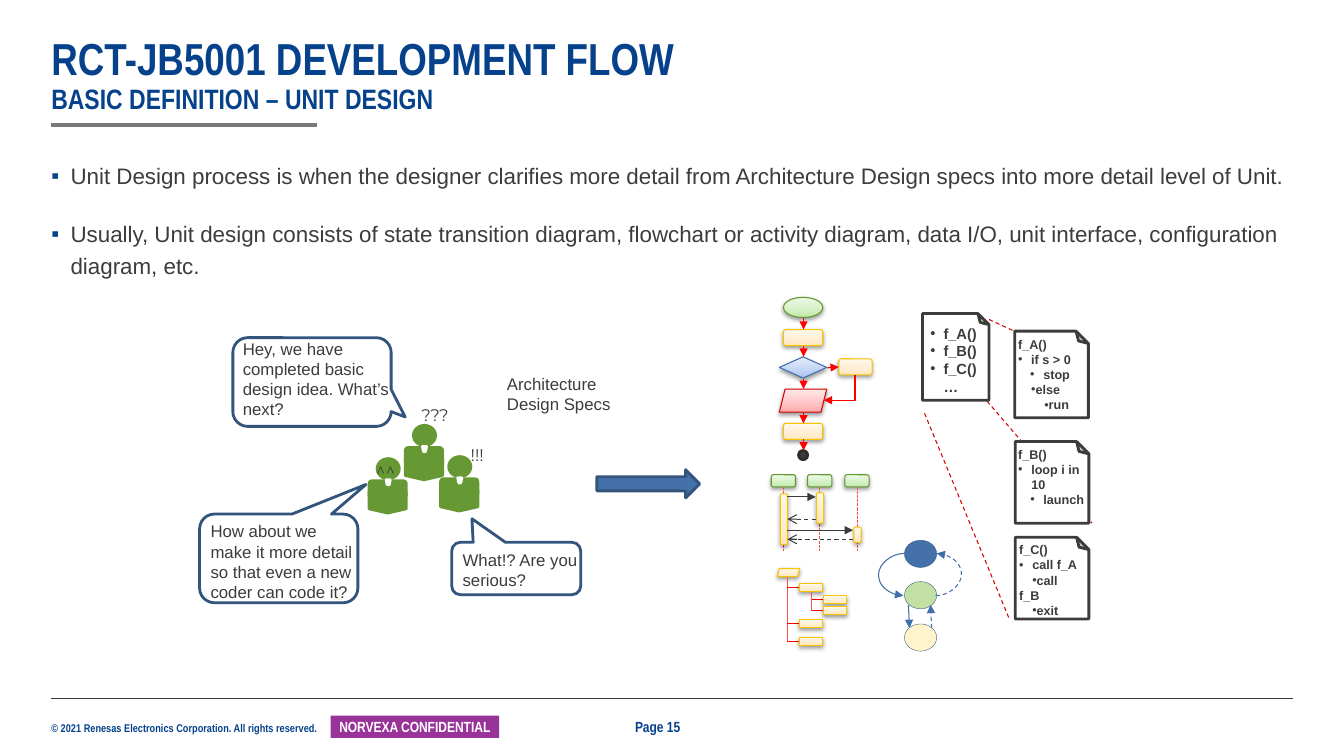
from dataclasses import dataclass
from typing import NamedTuple

from lxml.etree import SubElement
from pptx import Presentation
from pptx.dml.color import RGBColor
from pptx.enum.dml import MSO_LINE
from pptx.enum.shapes import MSO_CONNECTOR, MSO_SHAPE as S
from pptx.enum.text import MSO_ANCHOR, MSO_AUTO_SIZE, PP_ALIGN
from pptx.oxml.ns import qn
from pptx.util import Cm, Length, Pt


@dataclass(frozen=True)
class Theme:
    heading: str = "Arial Narrow"
    body: str = "Arial"
    accent: str = "Montserrat"
    navy: str = "06418C"
    ink: str = "3C3C3B"
    white: str = "FFFFFF"
    purple: str = "993399"
    grey: str = "797979"
    green: str = "669933"
    blue: str = "4471A9"
    outline: str = "32547D"
    curve: str = "406EA8"
    red: str = "FF0000"
    coral: str = "FF4E4E"
    crimson: str = "D20000"
    title: float = 32
    subtitle: float = 20
    text: float = 16
    label: float = 12
    small: float = 10.5
    code: float = 9
    legal: float = 8


T = Theme()


class Tint(NamedTuple):
    stops: tuple[str, str, str]
    line: str


AMBER = Tint(("FFE6BD", "FFEDD1", "FFF8EE"), "F9C400")
LIME = Tint(("C0E9A9", "D3EFC4", "EEFAE8"), "64982F")
SKY = Tint(("A7C0F3", "C2D3F5", "E7EEFC"), "406EA8")
ROSE = Tint(("FFAAAA", "FFC3C3", "FFE8E8"), "D20000")


class Box(NamedTuple):
    """Left, top, width and height in inches."""
    x: float
    y: float
    w: float
    h: float


class Para(NamedTuple):
    text: str
    margin: float = 0
    indent: float = 0
    bullet: str = ""
    level: int = 0


class Callout(NamedTuple):
    box: Box
    tip: tuple[float, float]
    text_box: Box
    text: str


class Note(NamedTuple):
    box: Box
    text_box: Box
    size: float
    wrap: bool
    paras: list[Para]


def inch(value: float) -> Length:
    return Cm(value * 2.54)


def rgb(color: str) -> RGBColor:
    return RGBColor.from_string(color)


def add_shape(slide, kind, box: Box, fill: str | None, line: str | None, width: float = 2):
    sp = slide.shapes.add_shape(kind, *map(inch, box))
    sp.shadow.inherit = False
    if fill:
        sp.fill.solid()
        sp.fill.fore_color.rgb = rgb(fill)
    else:
        sp.fill.background()
    if line:
        sp.line.color.rgb = rgb(line)
        sp.line.width = Pt(width)
    else:
        sp.line.fill.background()
    return sp


def add_tinted(slide, kind, box: Box, tint: Tint) -> None:
    """Add a shape with a three-stop gradient and a soft shadow."""
    sp = add_shape(slide, kind, box, None, tint.line, 0.75)
    sp.fill.gradient()
    sp.fill.gradient_angle = 90
    stops = sp._element.spPr.find(".//" + qn("a:gsLst"))
    for old in list(stops):
        stops.remove(old)
    for pos, color in zip((0, 35, 100), tint.stops):
        stop = SubElement(stops, qn("a:gs"), pos=str(pos * 1000))
        SubElement(stop, qn("a:srgbClr"), val=color)
    effects = sp._element.spPr.find(qn("a:effectLst"))
    shadow = SubElement(effects, qn("a:outerShdw"), blurRad=str(Pt(3.1)), dist=str(Pt(1.6)),
                        dir="5400000", rotWithShape="0")
    SubElement(SubElement(shadow, qn("a:srgbClr"), val="000000"), qn("a:alpha"), val="38000")


def add_line(slide, x1: float, y1: float, x2: float, y2: float, color: str, width: float = 0.75,
             dash=None, tail: str = "", kind=MSO_CONNECTOR.STRAIGHT):
    cx = slide.shapes.add_connector(kind, *map(inch, (x1, y1, x2, y2)))
    cx.line.color.rgb = rgb(color)
    cx.line.width = Pt(width)
    if dash:
        cx.line.dash_style = dash
    if tail:
        SubElement(cx.line._get_or_add_ln(), qn("a:tailEnd"), type=tail)
    SubElement(cx._element.spPr, qn("a:effectLst"))
    return cx


def style_runs(p, font: str, size: float, color: str, bold: bool) -> None:
    for r in p.runs:
        r.font.name, r.font.size, r.font.bold = font, Pt(size), bold
        r.font.color.rgb = rgb(color)


def add_text(slide, box: Box, paras: list[Para], size: float, font: str = T.body, color: str = T.ink,
             bold: bool = False, wrap: bool = True, inset: bool = True, bullet_color: str = ""):
    tf = slide.shapes.add_textbox(*map(inch, box)).text_frame
    tf.word_wrap = wrap
    tf.auto_size = MSO_AUTO_SIZE.SHAPE_TO_FIT_TEXT
    if not inset:
        tf.margin_left = tf.margin_right = tf.margin_top = tf.margin_bottom = 0
    for i, para in enumerate(paras):
        p = tf.add_paragraph() if i else tf.paragraphs[0]
        p.text, p.level = para.text, para.level
        pPr = p._p.get_or_add_pPr()
        pPr.set("marL", str(inch(para.margin)))
        pPr.set("indent", str(inch(para.indent)))
        if para.bullet:
            if bullet_color:
                SubElement(SubElement(pPr, qn("a:buClr")), qn("a:srgbClr"), val=bullet_color)
            SubElement(pPr, qn("a:buFont"), typeface=T.body)
            SubElement(pPr, qn("a:buChar"), char=para.bullet)
        style_runs(p, font, size, color, bold)
    return tf


def add_frame(slide) -> None:
    """Add the title, the body text and the footer."""
    add_text(slide, Box(0.51, 7.16, 2.73, 0.13),
             [Para("© 2021 Renesas Electronics Corporation. All rights reserved.")],
             T.legal, T.heading, T.navy, True, wrap=False, inset=False)
    add_line(slide, 0.51, 6.93, 12.82, 6.93, T.ink, 0.5)
    tf = add_shape(slide, S.RECTANGLE, Box(3.28, 7.1, 1.67, 0.22), T.purple, None).text_frame
    tf.margin_left = tf.margin_right = inch(0.04)
    tf.margin_top = tf.margin_bottom = 0
    tf.vertical_anchor = MSO_ANCHOR.MIDDLE
    tf.text = "NORVEXA CONFIDENTIAL"
    tf.paragraphs[0].alignment = PP_ALIGN.CENTER
    style_runs(tf.paragraphs[0], T.heading, T.small, T.white, True)
    add_line(slide, 0.51, 1.24, 3.14, 1.24, T.grey, 3)
    add_text(slide, Box(6.2, 7.07, 0.67, 0.28), [Para("Page 15")], T.small, T.heading, T.navy, True, wrap=False)
    tf = add_text(slide, Box(0.51, 0.36, 12.3, 0.79),
                  [Para("RCT-JB5001 DEVELOPMENT FLOW\vBASIC DEFINITION – UNIT DESIGN")],
                  T.title, T.heading, T.navy, True, inset=False)
    tf.vertical_anchor = MSO_ANCHOR.BOTTOM
    tf.paragraphs[0].line_spacing = 0.9
    tf.paragraphs[0].runs[1].font.size = Pt(T.subtitle)
    points = ("Unit Design process is when the designer clarifies more detail from Architecture Design specs "
              "into more detail level of Unit.",
              "Usually, Unit design consists of state transition diagram, flowchart or activity diagram, "
              "data I/O, unit interface, configuration diagram, etc.")
    tf = add_text(slide, Box(0.51, 1.56, 12.3, 1.8), [Para(t, 0.19, -0.19, "▪") for t in points],
                  T.text, inset=False, bullet_color=T.navy)
    for p in tf.paragraphs:
        p.line_spacing, p.space_after = 1.2, Pt(18)


def add_person(slide, x: float, y: float) -> None:
    for kind, dx, dy, w, h in ((S.ROUNDED_RECTANGLE, 0, 0.22, 0.37, 0.17), (S.OVAL, 0.08, 0, 0.22, 0.2),
                               (S.FLOWCHART_OFFPAGE_CONNECTOR, 0, 0.33, 0.37, 0.21)):
        add_shape(slide, kind, Box(x + dx, y + dy, w, h), T.green, T.green)
    collar = add_shape(slide, S.TRAPEZOID, Box(x + 0.17, y + 0.21, 0.04, 0.05), T.white, T.white)
    collar.rotation = 180


def add_discussion(slide) -> None:
    for x, y in ((4.02, 4.22), (3.66, 4.55), (4.37, 4.53)):
        add_person(slide, x, y)
    for c in (Callout(Box(2.31, 3.35, 1.57, 0.88), (0.589, 0.394), Box(2.31, 3.31, 1.87, 0.91),
                      "Hey, we have completed basic design idea. What’s next?"),
              Callout(Box(1.98, 5.1, 1.57, 0.88), (0.551, -0.834), Box(1.99, 5.12, 1.64, 0.91),
                      "How about we make it more detail so that even a new coder can code it?"),
              Callout(Box(4.48, 5.38, 1.28, 0.52), (-0.343, -0.949), Box(4.49, 5.4, 1.43, 0.5),
                      "What!? Are you serious?")):
        sp = add_shape(slide, S.ROUNDED_RECTANGULAR_CALLOUT, c.box, None, T.outline)
        sp.adjustments[0], sp.adjustments[1] = c.tip
        add_text(slide, c.text_box, [Para(c.text)], T.label)
    add_text(slide, Box(4.93, 3.66, 1.24, 0.5), [Para("Architecture"), Para("Design Specs")], T.label, wrap=False)
    for mark, box in (("???", Box(4.08, 3.97, 0.51, 0.3)), ("!!!", Box(4.57, 4.36, 0.37, 0.3)),
                      ("^^", Box(3.63, 4.51, 0.42, 0.3))):
        add_text(slide, box, [Para(mark)], T.label, T.accent, wrap=False)
    add_shape(slide, S.RIGHT_ARROW, Box(5.92, 4.66, 1.02, 0.28), T.blue, T.outline)


def add_flowchart(slide) -> None:
    for kind, box, tint in ((S.ROUNDED_RECTANGLE, Box(7.77, 3.27, 0.39, 0.16), AMBER),
                            (S.OVAL, Box(7.77, 2.95, 0.39, 0.2), LIME),
                            (S.DIAMOND, Box(7.73, 3.54, 0.47, 0.21), SKY),
                            (S.PARALLELOGRAM, Box(7.73, 3.86, 0.47, 0.23), ROSE),
                            (S.ROUNDED_RECTANGLE, Box(7.77, 4.2, 0.39, 0.16), AMBER),
                            (S.ROUNDED_RECTANGLE, Box(8.32, 3.56, 0.33, 0.16), AMBER)):
        add_tinted(slide, kind, box, tint)
    add_shape(slide, S.OVAL, Box(7.92, 4.47, 0.09, 0.09), T.ink, "2C2C2C")
    for top, bottom in ((3.15, 3.27), (3.43, 3.54), (3.76, 3.86), (4.09, 4.2), (4.36, 4.47)):
        add_line(slide, 7.97, top, 7.97, bottom, T.red, tail="triangle")
    add_line(slide, 8.2, 3.65, 8.32, 3.64, T.red, tail="triangle")
    elbow = add_line(slide, 8.2, 3.69, 8.45, 4, T.red, tail="triangle", kind=MSO_CONNECTOR.ELBOW)
    elbow._element.spPr.find(qn("a:prstGeom")).set("prst", "bentConnector2")
    elbow._element.spPr.find(qn("a:xfrm")).set("rot", "5400000")


def add_sequence(slide) -> None:
    for x, top, height in ((7.65, 4.9, 0.5), (8.01, 4.89, 0.3), (8.38, 5.23, 0.15)):
        add_tinted(slide, S.ROUNDED_RECTANGLE, Box(x, 4.71, 0.24, 0.12), LIME)
        add_line(slide, x + 0.12, 4.83, x + 0.12, 5.47, T.coral, dash=MSO_LINE.SQUARE_DOT)
        add_tinted(slide, S.ROUNDED_RECTANGLE, Box(x + 0.09, top, 0.07, height), AMBER)
    for right, call, reply in ((8.09, 4.93, 5.15), (8.46, 5.26, 5.35)):
        add_line(slide, 7.81, call, right, call, "3B3B3A", tail="triangle")
        add_line(slide, right, reply, 7.81, reply, "3B3B3A", dash=MSO_LINE.DASH, tail="arrow")


def add_tree(slide) -> None:
    add_tinted(slide, S.PARALLELOGRAM, Box(7.71, 5.64, 0.22, 0.08), AMBER)
    for x, top, branches in ((7.81, 5.72, (5.83, 6.19, 6.36)), (8.05, 5.87, (5.95, 6.06))):
        add_line(slide, x, top, x, branches[-1], T.coral)
        for y in branches:
            add_line(slide, x, y, x + 0.12, y, T.red)
            add_tinted(slide, S.RECTANGLE, Box(x + 0.12, y - 0.04, 0.23, 0.08), AMBER)


def add_states(slide) -> None:
    for y, fill in ((5.36, T.blue), (5.77, "C2E0A3"), (6.19, "FFF4CC")):
        add_shape(slide, S.OVAL, Box(8.97, y, 0.32, 0.27), fill, T.outline, 0.25)
    for x1, y1, x2, y2, dash in ((8.97, 5.49, 8.96, 5.91, None), (9.28, 5.91, 9.29, 5.49, MSO_LINE.DASH)):
        loop = add_line(slide, x1, y1, x2, y2, T.curve, dash=dash, tail="triangle", kind=MSO_CONNECTOR.CURVE)
        guides = loop._element.spPr.find(qn("a:prstGeom")).get_or_add_avLst()
        SubElement(guides, qn("a:gd"), name="adj1", fmla="val 2600000")
    add_line(slide, 9.01, 6, 9.02, 6.23, T.curve, tail="triangle")
    add_line(slide, 9.24, 6.23, 9.23, 6, T.curve, dash=MSO_LINE.DASH, tail="triangle")


def add_notes(slide) -> None:
    def item(text: str) -> Para:
        return Para(text, 0.13, -0.13, "•")

    def inner(text: str) -> Para:
        return Para(text, 0, 0.13, "•")

    add_line(slide, 9.79, 3.98, 10.83, 5.19, T.crimson, dash=MSO_LINE.DASH)
    for n in (Note(Box(9.05, 3.21, 0.86, 0.66), Box(9.13, 3.17, 0.67, 0.81), T.small, False,
                   [item("f_A()"), item("f_B()"), item("f_C()"), Para("…", 0.13)]),
              Note(Box(10, 3.35, 0.86, 0.73), Box(10, 3.29, 0.73, 0.86), T.code, False,
                   [Para("f_A()"), item("if s > 0"), Para("stop", 0.25, -0.13, "•", 1), inner("else"),
                    Para("run", 0.13, 0.13, "•", 1)]),
              Note(Box(10.03, 4.42, 0.81, 0.73), Box(10, 4.38, 0.95, 0.71), T.code, True,
                   [Para("f_B()"), item("loop i in 10"), Para("launch", 0.25, -0.13, "•", 1)]),
              Note(Box(10.03, 5.37, 0.81, 0.73), Box(10.01, 5.33, 0.78, 0.71), T.code, False,
                   [Para("f_C()"), item("call f_A"), inner("call f_B"), inner("exit")])):
        add_shape(slide, S.FOLDED_CORNER, n.box, T.white, T.ink).rotation = 270
        add_text(slide, n.text_box, n.paras, n.size, bold=True, wrap=n.wrap)
    add_line(slide, 9.81, 3.17, 10.07, 3.29, T.crimson, dash=MSO_LINE.DASH)
    add_line(slide, 9.17, 4.1, 10.01, 6.14, T.crimson, dash=MSO_LINE.DASH)


def main() -> None:
    prs = Presentation()
    prs.slide_width, prs.slide_height = inch(13.33), inch(7.5)
    slide = prs.slides.add_slide(prs.slide_layouts[6])
    for add_part in (add_frame, add_discussion, add_flowchart, add_sequence, add_notes, add_tree, add_states):
        add_part(slide)
    prs.save("out.pptx")


if __name__ == "__main__":
    main()
